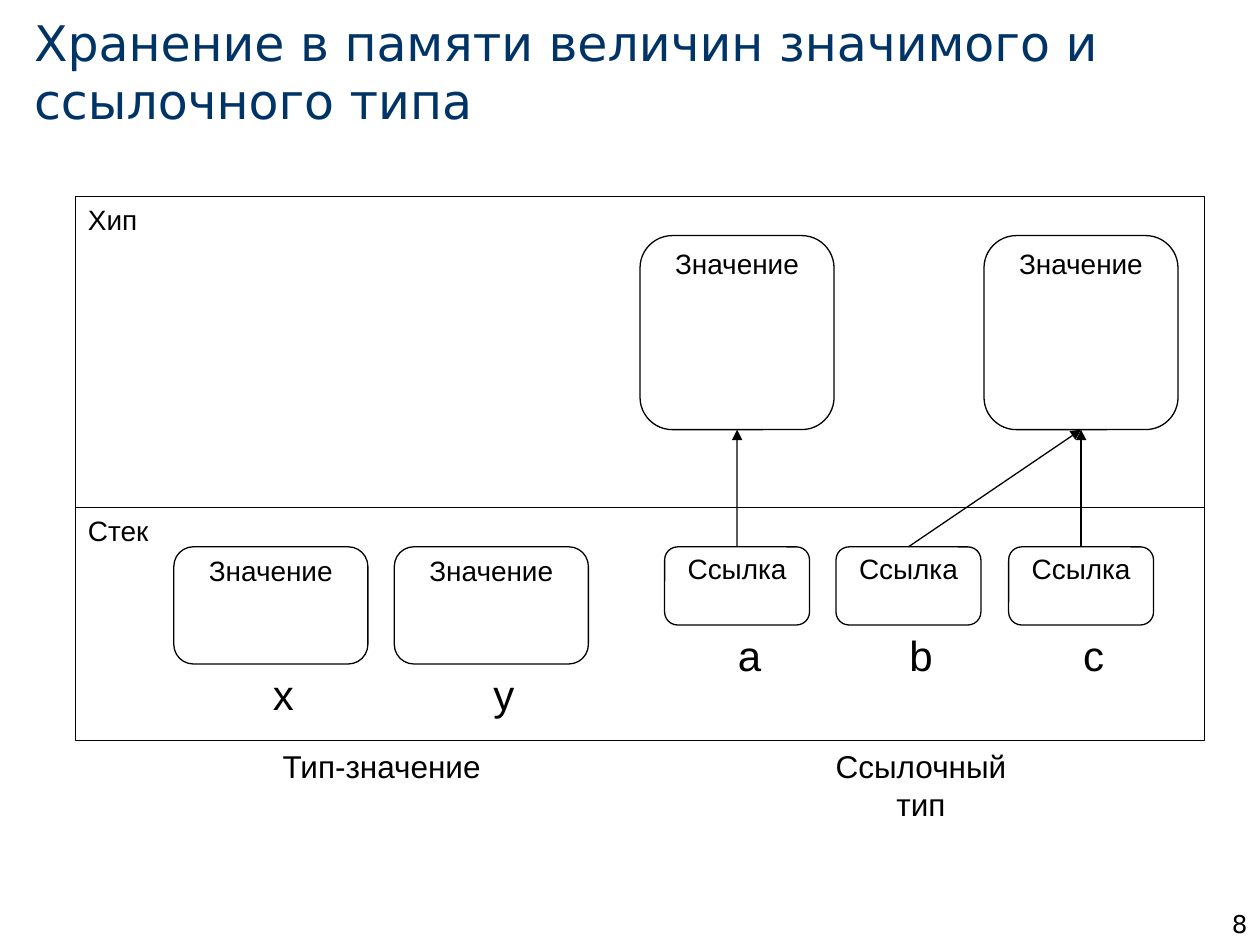
"""Build a slide on how value and reference types are kept in memory."""
from dataclasses import dataclass

from lxml.etree import SubElement
from pptx import Presentation
from pptx.dml.color import RGBColor
from pptx.enum.shapes import MSO_CONNECTOR, MSO_SHAPE
from pptx.enum.text import MSO_ANCHOR, MSO_AUTO_SIZE, PP_ALIGN
from pptx.oxml.ns import qn
from pptx.util import Inches, Pt


@dataclass(frozen=True)
class Theme:
    """Colours, fonts and type sizes."""
    ink: RGBColor = RGBColor(0, 0, 0)
    paper: RGBColor = RGBColor(255, 255, 255)
    navy: RGBColor = RGBColor(0, 0x33, 0x66)
    head: str = "DejaVu Sans"
    body: str = "Arial"
    title: int = 28
    name: int = 24
    kind: int = 18
    text: int = 16
    page: int = 14
    line: float = 0.75


T = Theme()
TITLE = "Хранение в памяти величин значимого и ссылочного типа"
PAGE = "8"
ZONES = [("Хип", 1.56, 2.47), ("Стек", 4.03, 1.85)]
VALUES = [("x", 2.15), ("y", 3.9)]
HEAP = [5.85, 8.58]
REFS = [("а", 5.85, 0), ("b", 7.21, 1), ("c", 8.58, 1)]
KINDS = [("Тип-значение", 3.03), ("Ссылочный тип", 7.31)]
VALUE, REF, LABEL = "Значение", "Ссылка", 0.62
STACK, SHIFT = 4.34, 0.1


def write(frame, text, size, align, pads, font=T.body, color=T.ink, anchor=MSO_ANCHOR.TOP):
    frame.word_wrap = True
    frame.auto_size = MSO_AUTO_SIZE.NONE
    frame.vertical_anchor = anchor
    frame.margin_left = frame.margin_right = Inches(pads[0])
    frame.margin_top = frame.margin_bottom = Inches(pads[1])
    frame.text = text
    para = frame.paragraphs[0]
    para.alignment = align
    para.font.name, para.font.size = font, Pt(size)
    para.font.color.rgb = color


def draw(slide, form, box, text, size, fill=True, line=True,
         align=PP_ALIGN.CENTER, pads=(0.02, 0.01)):
    shape = slide.shapes.add_shape(form, *map(Inches, box))
    shape.shadow.inherit = False
    if fill:
        shape.fill.solid()
        shape.fill.fore_color.rgb = T.paper
    else:
        shape.fill.background()
    if line:
        shape.line.color.rgb = T.ink
        shape.line.width = Pt(T.line)
    else:
        shape.line.fill.background()
    write(shape.text_frame, text, size, align, pads)
    return shape


def card(slide, mid, top, wide, high, text, size=T.text, plain=False):
    box = (mid - wide / 2, top, wide, high)
    return draw(slide, MSO_SHAPE.ROUNDED_RECTANGLE, box, text, size, not plain, not plain)


def tag(slide, text, mid, top):
    card(slide, mid + SHIFT, top, 0.57, LABEL, text, T.name, True)


def arrow(slide, start, end):
    link = slide.shapes.add_connector(MSO_CONNECTOR.STRAIGHT, 0, 0, 0, 0)
    link.begin_connect(start, 0)
    link.end_connect(end, 2)
    link.line.color.rgb = T.ink
    link.line.width = Pt(T.line)
    SubElement(link.line._get_or_add_ln(), qn("a:tailEnd"), type="triangle")
    SubElement(link._element.spPr, qn("a:effectLst"))


def main():
    deck = Presentation()
    deck.slide_width, deck.slide_height = Inches(10), Inches(7.5)
    slide = deck.slides.add_slide(deck.slide_layouts[5])

    title = slide.shapes.title
    title.left, title.top, title.width, title.height = map(Inches, (0.27, 0, 8.93, 1.03))
    write(title.text_frame, TITLE, T.title, PP_ALIGN.LEFT, (0, 0),
          T.head, T.navy, MSO_ANCHOR.BOTTOM)
    page = slide.shapes.add_textbox(*map(Inches, (7.92, 7, 2.08, 0.5)))
    write(page.text_frame, PAGE, T.page, PP_ALIGN.RIGHT, (0.1, 0.05),
          T.head, anchor=MSO_ANCHOR.BOTTOM)

    for text, top, high in ZONES:
        draw(slide, MSO_SHAPE.RECTANGLE, (0.6, top, 8.96, high), text, T.text,
             fill=False, align=PP_ALIGN.LEFT, pads=(0.1, 0.05))
    for name, mid in VALUES:
        card(slide, mid, STACK, 1.54, 0.93, VALUE)
        tag(slide, name, mid, STACK + 0.93)
    heap = [card(slide, mid, 1.87, 1.54, 1.54, VALUE) for mid in HEAP]
    for name, mid, goal in REFS:
        ref = card(slide, mid, STACK, 1.15, LABEL, REF)
        tag(slide, name, mid, STACK + LABEL)
        arrow(slide, ref, heap[goal])
    for text, mid in KINDS:
        card(slide, mid, 5.89, 1.74, LABEL, text, T.kind, True)

    deck.save("out.pptx")


if __name__ == "__main__":
    main()
